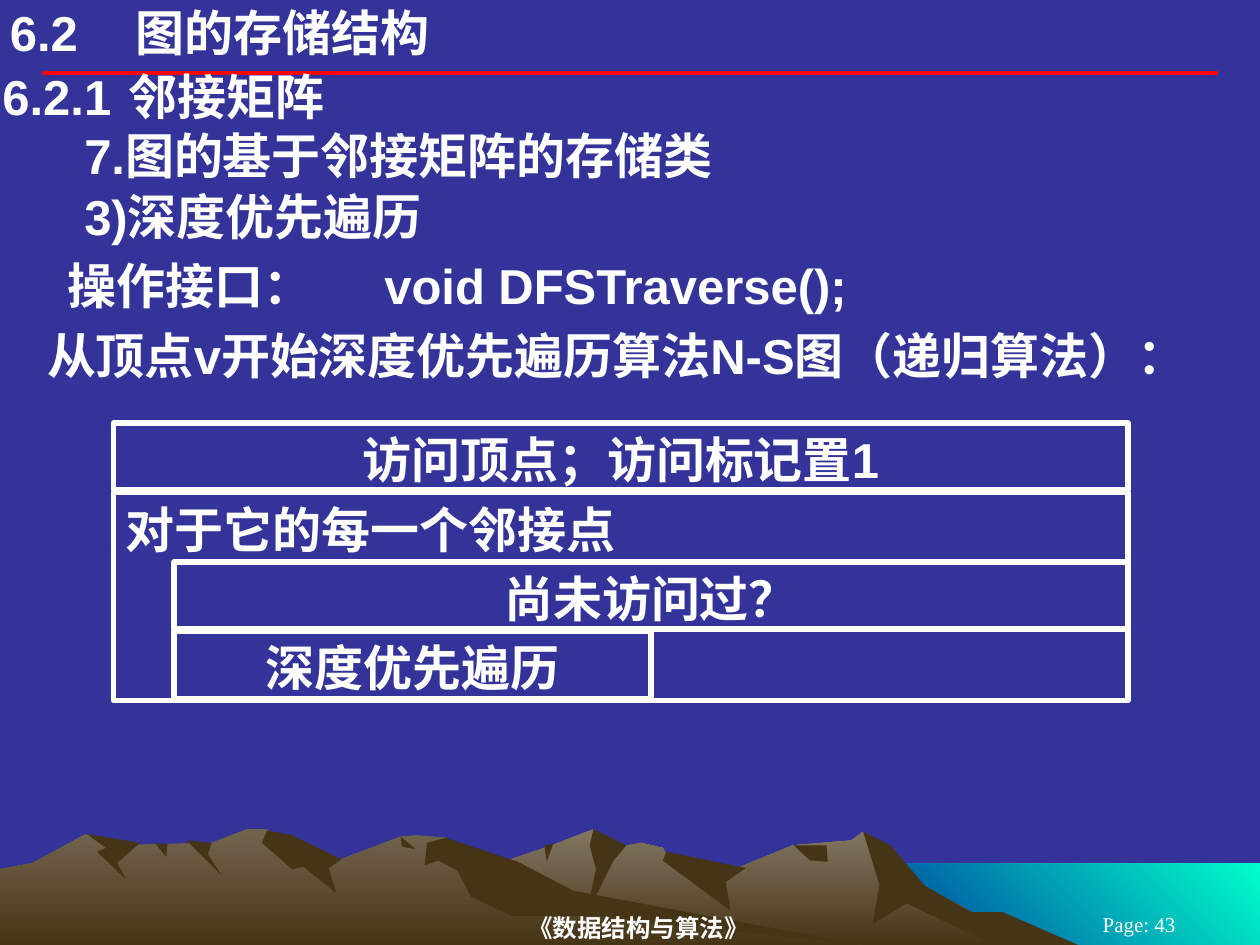
import lxml.etree
import pptx
import pptx.dml.color
import pptx.enum.shapes
import pptx.enum.text
import pptx.oxml.ns
import pptx.util

Cm = pptx.util.Cm
Pt = pptx.util.Pt
ALIGN = pptx.enum.text.PP_ALIGN
ANCHOR = pptx.enum.text.MSO_ANCHOR

WHITE, NIGHT, RED, SHADE = "FFFFFF", "333399", "FF0000", "463416"
HUNDREDTH_INCH = Cm(2.54) / 100

# Landscape, back to front: (fill, points in hundredths of an inch).
# A fill is one colour, or (start colour, end colour, clockwise angle).
LANDSCAPE = [
    (("00FFCC", "003399", 135), [(1000, 752), (683, 752), (683, 685), (1000, 685)]),
    (("837763", SHADE, 90), [
        (821, 751), (723, 698), (685, 660), (676, 667), (629, 671), (566, 697), (536, 690),
        (526, 673), (509, 669), (486, 673), (471, 658), (438, 671), (327, 709), (258, 751)]),
    (SHADE, [
        (796, 724), (771, 724), (734, 703), (707, 671), (685, 660), (698, 702), (693, 733),
        (720, 717), (792, 752), (858, 751)]),
    (SHADE, [(471, 658), (468, 671), (473, 690), (465, 727), (487, 683), (497, 671)]),
    (SHADE, [(529, 676), (526, 683), (580, 723), (576, 700), (592, 689)]),
    (SHADE, [(630, 671), (643, 683), (657, 684), (656, 671)]),
    (SHADE, [(432, 671), (439, 670), (434, 684)]),
    (("72644E", SHADE, 90), [
        (690, 751), (432, 712), (354, 665), (331, 663), (318, 664), (271, 682), (236, 681),
        (212, 658), (196, 658), (168, 669), (94, 671), (68, 662), (26, 685), (0, 690),
        (0, 751)]),
    (SHADE, [
        (212, 659), (208, 669), (232, 690), (241, 688), (267, 709), (261, 689), (271, 682),
        (232, 663)]),
    (SHADE, [
        (354, 665), (339, 669), (337, 687), (348, 683), (363, 691), (374, 712), (407, 727),
        (472, 727), (690, 751), (455, 707), (411, 684)]),
    (SHADE, [(318, 664), (330, 674), (319, 672)]),
    (SHADE, [(148, 667), (168, 669), (165, 678), (176, 695)]),
    (SHADE, [(123, 669), (133, 670), (132, 680)]),
    (SHADE, [(69, 662), (111, 669), (93, 685), (100, 698), (77, 676), (84, 673)]),
]

# Text, (left, top, width), indent, tab stop; all in cm
HEADINGS = [
    ("6.2\t图的存储结构", (0.2, 0.06, 16.51), 0, 2.18),
    ("6.2.1\t邻接矩阵", (0.05, 1.35, 25.3), 0, 3.25),
    ("7.图的基于邻接矩阵的存储类", (0.05, 2.53, 25.3), 1.65, None),
    ("3)深度优先遍历", (0.05, 3.76, 25.3), 1.65, None),
    ("操作接口：", (0.05, 5.16, 25.3), 1.32, None),
    ("void DFSTraverse();", (7.75, 5.16, 13.4), 0, None),
    ("从顶点v开始深度优先遍历算法N-S图（递归算法）：", (0.05, 6.56, 25.3), 0.9, None),
]

# N-S diagram: text, nesting level, first row, rows spanned, share of width, alignment
NS_BOXES = [
    ("访问顶点；访问标记置1", 0, 0, 1, 1, ALIGN.CENTER),
    ("对于它的每一个邻接点", 0, 1, 3, 1, ALIGN.LEFT),
    ("尚未访问过？", 1, 2, 1, 1, ALIGN.CENTER),
    ("深度优先遍历", 1, 3, 1, 0.5, ALIGN.CENTER),
]
NS_LEFT, NS_TOP, NS_WIDTH = 2.29, 8.53, 20.45
NS_INDENT, NS_PITCH, NS_GAP = 1.22, 1.4, 0.05

# Text, (left, top, width, height) in cm, size, bold
FOOTERS = [
    ("《数据结构与算法》", (5.18, 18.34, 15.39, 0.71), 14, True),
    ("Page: 43", (20.96, 18.42, 4.01, 0.43), 12, False),
]


def rgb(code):
    return pptx.dml.color.RGBColor.from_string(code)


def paint(fill, colour):
    if isinstance(colour, str):
        fill.solid()
        fill.fore_color.rgb = rgb(colour)
        return
    *ends, clockwise = colour
    fill.gradient()
    fill.gradient_angle = 360 - clockwise
    for stop, end in zip(fill.gradient_stops, ends):
        stop.color.rgb = rgb(end)


def write(frame, text, size=28, font="Arial", bold=True, align=ALIGN.LEFT,
          anchor=ANCHOR.TOP, indent=0, tab=None, margins=(0, 0)):
    frame.word_wrap = True
    frame.vertical_anchor = anchor
    frame.margin_left = frame.margin_right = Cm(margins[0])
    frame.margin_top = frame.margin_bottom = Cm(margins[1])
    paragraph = frame.paragraphs[0]
    paragraph.alignment = align
    properties = paragraph._p.get_or_add_pPr()
    properties.set("marL", str(Cm(indent)))
    properties.set("indent", "0")
    if tab:
        qn = pptx.oxml.ns.qn
        stops = lxml.etree.SubElement(properties, qn("a:tabLst"))
        lxml.etree.SubElement(stops, qn("a:tab"), pos=str(Cm(tab)), algn="l")
    run = paragraph.add_run()
    run.text = text
    run.font.name, run.font.size, run.font.bold = font, Pt(size), bold
    run.font.color.rgb = rgb(WHITE)


deck = pptx.Presentation()
deck.slide_width, deck.slide_height = Cm(25.4), Cm(19.05)
slide = deck.slides.add_slide(deck.slide_layouts[6])
paint(slide.background.fill, NIGHT)
shapes = slide.shapes

for colour, points in LANDSCAPE:
    outline = shapes.build_freeform(*points[0], scale=HUNDREDTH_INCH)
    outline.add_line_segments(points[1:], close=True)
    terrain = outline.convert_to_shape()
    terrain.shadow.inherit = False
    terrain.line.fill.background()
    paint(terrain.fill, colour)

title_rule = shapes.add_connector(
    pptx.enum.shapes.MSO_CONNECTOR.STRAIGHT, Cm(0.84), Cm(1.47), Cm(24.56), Cm(1.47))
title_rule.line.color.rgb = rgb(RED)
title_rule.line.width = Pt(2.25)
lxml.etree.SubElement(title_rule._element.spPr, pptx.oxml.ns.qn("a:effectLst"))

for text, place, size, bold in FOOTERS:
    footer = shapes.add_textbox(*map(Cm, place))
    write(footer.text_frame, text, size, "Times New Roman", bold, ALIGN.CENTER, ANCHOR.MIDDLE)

for text, place, indent, tab in HEADINGS:
    heading = shapes.add_textbox(*map(Cm, place), Cm(1.22))
    write(heading.text_frame, text, indent=indent, tab=tab)

for text, level, row, rows, share, align in NS_BOXES:
    inset = level * NS_INDENT
    box = shapes.add_shape(
        pptx.enum.shapes.MSO_SHAPE.RECTANGLE,
        Cm(NS_LEFT + inset), Cm(NS_TOP + row * NS_PITCH),
        Cm((NS_WIDTH - inset) * share), Cm(rows * NS_PITCH - (NS_GAP if rows == 1 else 0)))
    box.shadow.inherit = False
    box.fill.background()
    box.line.color.rgb = rgb(WHITE)
    box.line.width = Pt(3)
    write(box.text_frame, text, align=align, margins=(0.25, 0.13))

deck.save("out.pptx")
